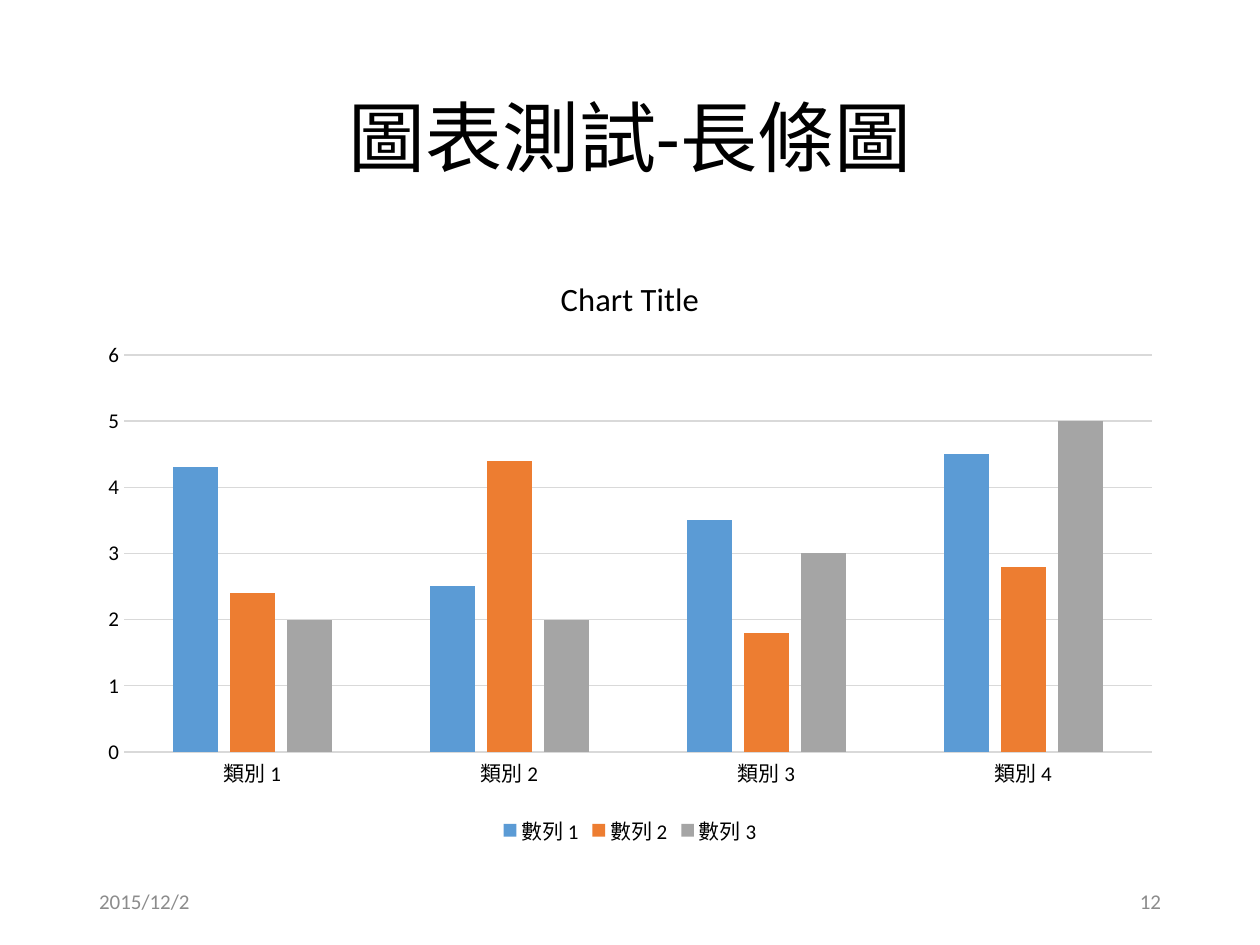
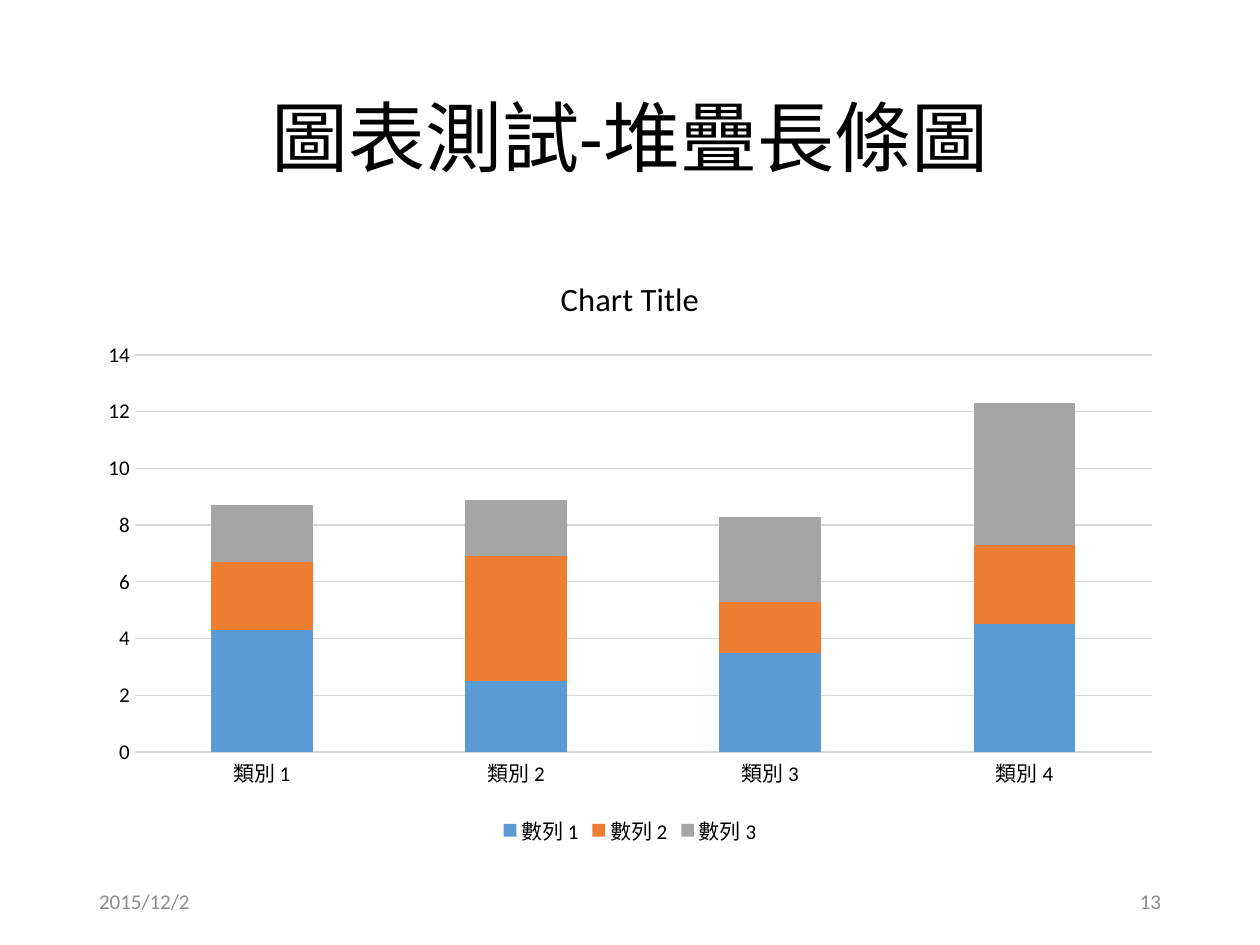
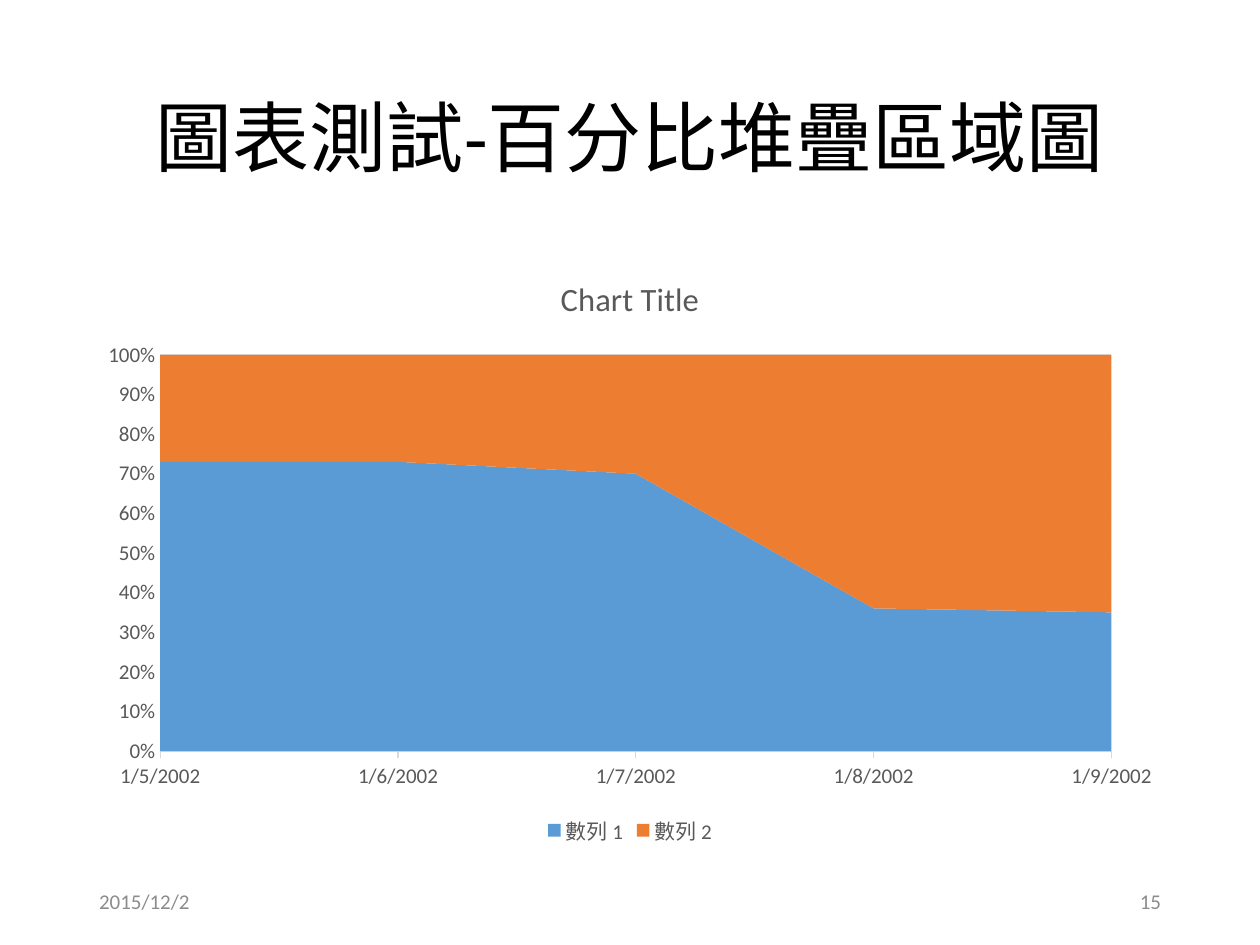
from dataclasses import dataclass

from pptx import Presentation
from pptx.chart.data import CategoryChartData
from pptx.dml.color import RGBColor as RGB
from pptx.enum.chart import XL_CHART_TYPE as CHART
from pptx.enum.chart import XL_LEGEND_POSITION as LEGEND
from pptx.enum.chart import XL_TICK_MARK as TICK
from pptx.enum.text import MSO_ANCHOR as ANCHOR
from pptx.enum.text import MSO_AUTO_SIZE as AUTO_SIZE
from pptx.enum.text import PP_ALIGN as ALIGN
from pptx.oxml.ns import qn
from pptx.util import Pt


@dataclass(frozen=True)
class Theme:
    font: str = "Calibri"
    black: str = "000000"
    gray: str = "595959"
    footer: str = "8C8C8C"
    rule: str = "D9D9D9"
    series: tuple = ("5B9BD5", "ED7D31", "A5A5A5")
    title_size: float = 44
    chart_title_size: float = 18.6
    label_size: float = 12
    chart_size: float = 10


THEME = Theme()


def style_font(font, size, color):
    font.name = THEME.font
    font.size = Pt(size)
    font.bold = False
    font.color.rgb = RGB.from_string(color)


def write(frame, text, size=THEME.label_size, color=THEME.black,
          align=ALIGN.LEFT, spacing=None):
    paragraph = frame.paragraphs[0]
    paragraph.alignment = align
    paragraph.line_spacing = spacing
    run = paragraph.add_run()
    run.text = text
    style_font(run.font, size, color)


LEFT, CONTENT_WIDTH = 49.5, 621
FOOTER_TOP, FOOTER_WIDTH, FOOTER_HEIGHT = 500.5, 162, 28.75

column_categories = [f"類別 {n}" for n in range(1, 5)]
column_values = [(4.3, 2.5, 3.5, 4.5), (2.4, 4.4, 1.8, 2.8), (2, 2, 3, 5)]
area_categories = [f"1/{day}/2002" for day in range(5, 10)]
area_values = [(73, 73, 70, 36, 35), (27, 27, 30, 64, 65)]

# title, page, chart type, categories, values, text colour, (gap, overlap)
pages = [
    ("圖表測試-長條圖", 12, CHART.COLUMN_CLUSTERED,
     column_categories, column_values, THEME.black, (219, -27)),
    ("圖表測試-堆疊長條圖", 13, CHART.COLUMN_STACKED,
     column_categories, column_values, THEME.black, (150, 100)),
    ("圖表測試-百分比堆疊區域圖", 15, CHART.AREA_STACKED_100,
     area_categories, area_values, THEME.gray, None),
]

prs = Presentation()
prs.slide_width, prs.slide_height = Pt(720), Pt(540)
title_only = prs.slide_layouts[5]

for heading, page, chart_type, categories, values, text_color, bar_spacing in pages:
    slide = prs.slides.add_slide(title_only)

    title = slide.shapes.title
    title.left, title.top = Pt(LEFT), Pt(28.75)
    title.width, title.height = Pt(CONTENT_WIDTH), Pt(104.4)
    title.text_frame.auto_size = AUTO_SIZE.NONE
    title.text_frame.vertical_anchor = ANCHOR.MIDDLE
    write(title.text_frame, heading, size=THEME.title_size,
          align=ALIGN.CENTER, spacing=0.9)

    data = CategoryChartData()
    data.categories = categories
    for number, points in enumerate(values, 1):
        data.add_series(f"數列 {number}", points)
    chart = slide.shapes.add_chart(chart_type, Pt(LEFT), Pt(143.75),
                                   Pt(CONTENT_WIDTH), Pt(342.6), data).chart
    style_font(chart.font, THEME.chart_size, THEME.black)
    chart.has_title = True
    write(chart.chart_title.text_frame, "Chart Title",
          size=THEME.chart_title_size, color=text_color, align=ALIGN.CENTER)
    chart.chart_title.include_in_layout = False

    chart.has_legend = True
    chart.legend.position = LEGEND.BOTTOM
    chart.legend.include_in_layout = False
    style_font(chart.legend.font, THEME.label_size, text_color)

    plot = chart.plots[0]
    plot.vary_by_categories = False
    for series, color in zip(plot.series, THEME.series):
        series.format.fill.solid()
        series.format.fill.fore_color.rgb = RGB.from_string(color)

    category_axis, value_axis = chart.category_axis, chart.value_axis
    for axis in (category_axis, value_axis):
        axis.major_tick_mark = axis.minor_tick_mark = TICK.NONE
        style_font(axis.tick_labels.font, THEME.label_size, text_color)
    category_axis.has_major_gridlines = False
    value_axis.has_major_gridlines = True
    for line in (category_axis.format.line, value_axis.major_gridlines.format.line):
        line.width = Pt(0.75)
        line.color.rgb = RGB.from_string(THEME.rule)
    value_axis.format.line.fill.background()

    if bar_spacing:
        plot.gap_width, plot.overlap = bar_spacing
    else:
        category_axis.major_tick_mark = TICK.OUTSIDE
        value_axis.tick_labels.number_format = "0%"
        value_axis.tick_labels.number_format_is_linked = False
        for crossing in chart.element.iter(qn("c:crossBetween")):
            crossing.set("val", "midCat")

    footers = [
        ("2015/12/2", LEFT, ALIGN.LEFT),
        (str(page), LEFT + CONTENT_WIDTH - FOOTER_WIDTH, ALIGN.RIGHT),
    ]
    for text, left, align in footers:
        footer = slide.shapes.add_textbox(Pt(left), Pt(FOOTER_TOP),
                                          Pt(FOOTER_WIDTH), Pt(FOOTER_HEIGHT))
        footer.text_frame.word_wrap = True
        footer.text_frame.vertical_anchor = ANCHOR.MIDDLE
        write(footer.text_frame, text, color=THEME.footer, align=align)

prs.save("out.pptx")
